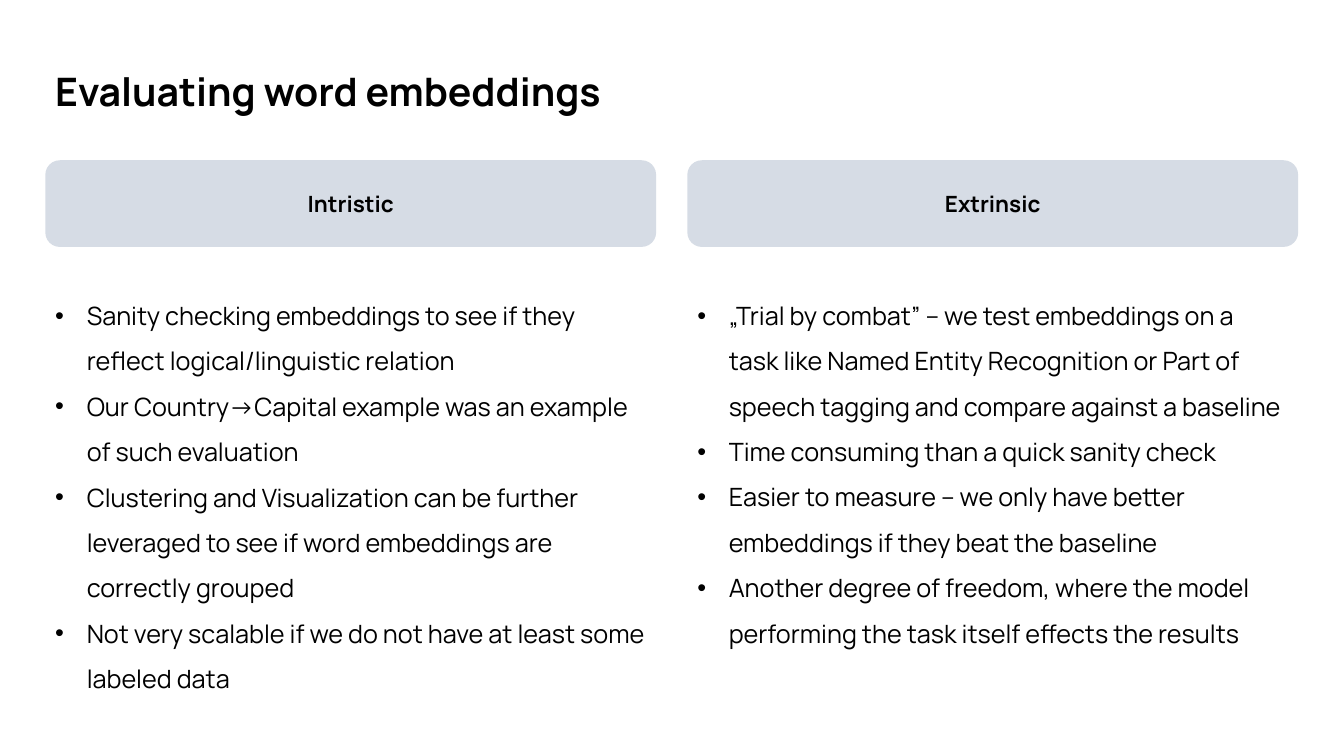
import pptx
import pptx.dml.color
import pptx.enum.shapes
import pptx.enum.text
import pptx.oxml.ns
import pptx.util
import lxml.etree
from dataclasses import dataclass

Pt = pptx.util.Pt
ALIGN = pptx.enum.text.PP_ALIGN
ANCHOR = pptx.enum.text.MSO_ANCHOR
AUTO_SIZE = pptx.enum.text.MSO_AUTO_SIZE


@dataclass(frozen=True)
class Theme:
    font: str = "Manrope"
    ink: str = "000000"
    panel: str = "D6DCE5"
    title_size: int = 28
    header_size: int = 16
    body_size: int = 18
    bullet_indent: float = 22.5


class Deck:
    def __init__(self, prs, theme):
        self.theme = theme
        self.slide = prs.slides.add_slide(prs.slide_layouts[6])

    def add_text(self, p, text, size, bold=False):
        r = p.add_run()
        r.text = text
        formats = {"name": self.theme.font, "size": Pt(size), "bold": bold}
        for name, value in formats.items():
            setattr(r.font, name, value)
        r.font.color.rgb = pptx.dml.color.RGBColor.from_string(self.theme.ink)

    def text_frame(self, box):
        tf = self.slide.shapes.add_textbox(*map(Pt, box)).text_frame
        formats = {"word_wrap": True, "auto_size": AUTO_SIZE.SHAPE_TO_FIT_TEXT}
        for name, value in formats.items():
            setattr(tf, name, value)
        return tf

    def title(self, box, text):
        tf = self.text_frame(box)
        self.add_text(tf.paragraphs[0], text, self.theme.title_size, bold=True)

    def header(self, box, text):
        kind = pptx.enum.shapes.MSO_SHAPE.ROUNDED_RECTANGLE
        sp = self.slide.shapes.add_shape(kind, *map(Pt, box))
        sp.shadow.inherit = False
        sp.fill.solid()
        sp.fill.fore_color.rgb = pptx.dml.color.RGBColor.from_string(self.theme.panel)
        sp.line.fill.background()
        tf = sp.text_frame
        tf.vertical_anchor = ANCHOR.MIDDLE
        p = tf.paragraphs[0]
        p.alignment = ALIGN.CENTER
        self.add_text(p, text, self.theme.header_size, bold=True)

    def bullets(self, box, items):
        tf = self.text_frame(box)
        indent = Pt(self.theme.bullet_indent)
        for i, item in enumerate(items):
            p = tf.add_paragraph() if i else tf.paragraphs[0]
            p.line_spacing = 1.5
            pPr = p._p.get_or_add_pPr()
            pPr.set("marL", str(indent))
            pPr.set("indent", str(-indent))
            for tag, key, value in (("a:buFont", "typeface", "Arial"), ("a:buChar", "char", "•")):
                bullet = lxml.etree.SubElement(pPr, pptx.oxml.ns.qn(tag))
                bullet.set(key, value)
            self.add_text(p, item, self.theme.body_size)


LEFT = 32.4
COLUMN_WIDTH = 436.3
COLUMN_STEP = 458.6
COLUMNS = [
    ("Intristic", 298.8, [
        "Sanity checking embeddings to see if they reflect logical/linguistic relation",
        "Our Country->Capital example was an example of such evaluation",
        "Clustering and Visualization can be further leveraged to see if word embeddings are correctly grouped",
        "Not very scalable if we do not have at least some labeled data",
    ]),
    ("Extrinsic", 331.2, [
        "„Trial by combat” – we test embeddings on a task like Named Entity Recognition "
        "or Part of speech tagging and compare against a baseline",
        "Time consuming than a quick sanity check",
        "Easier to measure – we only have better embeddings if they beat the baseline",
        "Another degree of freedom, where the model performing the task itself effects the results",
    ]),
]


def main():
    prs = pptx.Presentation()
    prs.slide_width, prs.slide_height = Pt(960), Pt(540)
    deck = Deck(prs, Theme())

    # Title
    deck.title((LEFT, 44.6, 895.7, 41), "Evaluating word embeddings")

    # Two columns: header panel above its bullet list
    for i, (heading, height, items) in enumerate(COLUMNS):
        x = LEFT + i * COLUMN_STEP
        deck.header((x, 114.5, COLUMN_WIDTH, 61.9), heading)
        deck.bullets((x, 200.2, COLUMN_WIDTH, height), items)

    prs.save("out.pptx")


if __name__ == "__main__":
    main()
